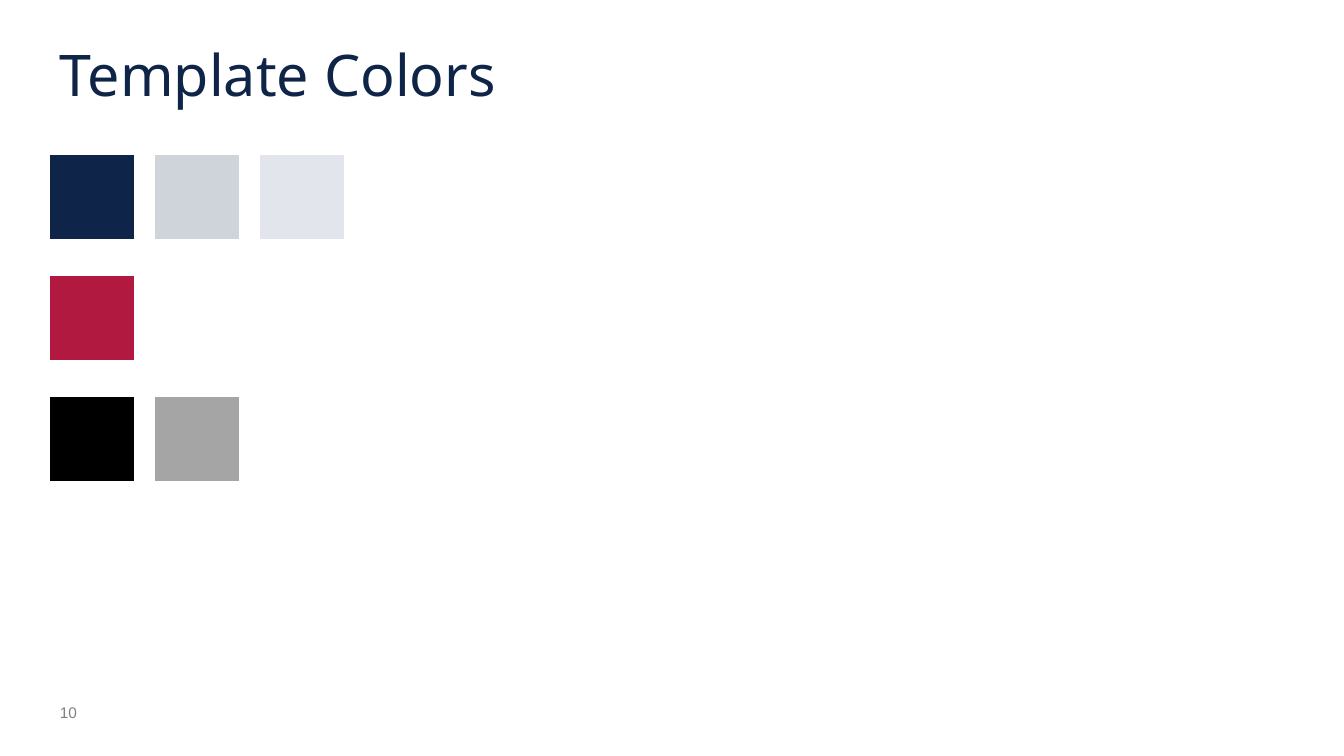
from pptx import Presentation
from pptx.dml.color import RGBColor
from pptx.enum.shapes import MSO_SHAPE
from pptx.enum.text import MSO_ANCHOR
from pptx.util import Pt

RECTANGLE = MSO_SHAPE.RECTANGLE
TOP, MIDDLE = MSO_ANCHOR.TOP, MSO_ANCHOR.MIDDLE

COLORS = {
    "title": "0F2548",
    "page number": "808080",
    "navy": "0E2448",
    "navy tint": "CFD3DA",
    "pale navy tint": "E2E6EC",
    "red": "B21941",
    "black": "000000",
    "gray": "A5A5A5",
}
SWATCH_ROWS = [
    ["navy", "navy tint", "pale navy tint"],
    ["red"],
    ["black", "gray"],
]
LEFT, SWATCH_TOP = 50, 155
SWATCH_SIZE = 84
COLUMN_STEP, ROW_STEP = 105, 121


def px(length):
    """Turn px, at 100.8 to the inch, into EMU."""
    return round(length * 914400 / 100.8)


def add_text(text, box, font_name, size, color, anchor):
    frame = slide.shapes.add_textbox(*map(px, box)).text_frame
    frame.word_wrap = True
    frame.vertical_anchor = anchor
    paragraph = frame.paragraphs[0]
    paragraph.text = text
    paragraph.font.name = font_name
    paragraph.font.size = Pt(size)
    paragraph.font.color.rgb = RGBColor.from_string(COLORS[color])
    return paragraph


presentation = Presentation()
presentation.slide_width = px(1344)
presentation.slide_height = px(756)
slide = presentation.slides.add_slide(presentation.slide_layouts[6])

title = add_text("Template Colors", (LEFT, 0, 1243, 155), "Noto Sans", 41, "title", MIDDLE)
title.line_spacing = 0.9
add_text("10", (LEFT, 698, 84, 40), "Arial", 11, "page number", TOP)

for row, names in enumerate(SWATCH_ROWS):
    for column, name in enumerate(names):
        swatch = slide.shapes.add_shape(
            RECTANGLE,
            px(LEFT + column * COLUMN_STEP),
            px(SWATCH_TOP + row * ROW_STEP),
            px(SWATCH_SIZE),
            px(SWATCH_SIZE),
        )
        swatch.shadow.inherit = False
        swatch.fill.solid()
        swatch.fill.fore_color.rgb = RGBColor.from_string(COLORS[name])
        swatch.line.fill.background()

presentation.save("out.pptx")
